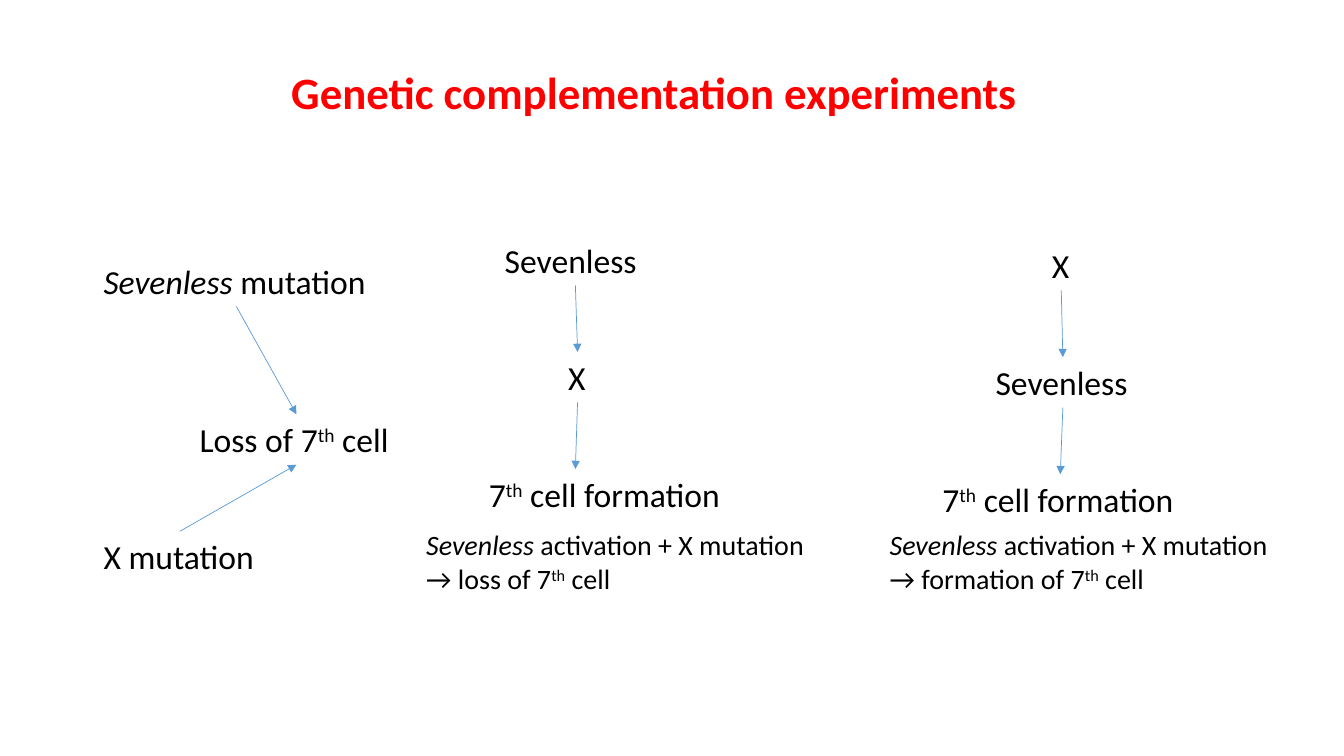
from dataclasses import dataclass
from typing import NamedTuple

from lxml.etree import SubElement
from pptx import Presentation
from pptx.dml.color import RGBColor as RGB
from pptx.enum.shapes import MSO_CONNECTOR as Connector
from pptx.enum.text import MSO_AUTO_SIZE as AutoSize
from pptx.oxml.ns import qn
from pptx.slide import Slide
from pptx.util import Cm, Pt


@dataclass(frozen=True)
class Theme:
    font: str = "Calibri"
    title_color: RGB = RGB(0xFF, 0x00, 0x00)
    text_color: RGB = RGB(0x00, 0x00, 0x00)
    arrow_color: RGB = RGB(0x5B, 0x9B, 0xD5)
    title_size: int = 32
    label_size: int = 24
    outcome_size: int = 20
    arrow_width: float = 0.5


class Span(NamedTuple):
    text: str
    italic: bool = False
    superscript: bool = False


class Point(NamedTuple):
    x: float
    y: float


@dataclass(frozen=True)
class Label:
    spans: tuple[Span, ...]
    left: float
    top: float
    width: float
    height: float = 1.27

    @property
    def top_center(self) -> Point:
        return Point(self.left + self.width / 2, self.top)

    @property
    def bottom_center(self) -> Point:
        return Point(self.left + self.width / 2, self.top + self.height)


class Step(NamedTuple):
    spans: tuple[Span, ...]
    left: float
    width: float


@dataclass(frozen=True)
class Pathway:
    top: float
    steps: tuple[Step, ...]
    end_x: float
    outcome: Label


THEME = Theme()
STEP_PITCH = 2.95
OUTCOME_TOP = 13.18
OUTCOME_HEIGHT = 1.96

SEVENLESS = (Span("Sevenless"),)
X = (Span("X"),)
TH = Span("th", superscript=True)
CELL = Span(" cell")
FORMATION = (Span("7"), TH, Span(" cell formation"))

TITLE = Label((Span("Genetic complementation experiments"),), 7.09, 1.5, 19.23, 1.63)
SEVENLESS_MUTATION = Label(
    (Span("Sevenless", italic=True), Span(" mutation")), 2.36, 6.45, 7.19
)
CELL_LOSS = Label((Span("Loss of 7"), TH, CELL), 4.78, 10.44, 5.38)
X_MUTATION = Label((Span("X mutation"),), 2.36, 13.39, 4.34)


def outcome(result: str, left: float, width: float) -> Label:
    spans = (
        Span("Sevenless", italic=True),
        Span(f" activation + X mutation → {result} of 7"),
        TH,
        CELL,
    )
    return Label(spans, left, OUTCOME_TOP, width, OUTCOME_HEIGHT)


PATHWAYS = (
    Pathway(
        5.92,
        (Step(SEVENLESS, 12.47, 4.06), Step(X, 14.07, 0.97), Step(FORMATION, 12.07, 6.45)),
        14.5,
        outcome("loss", 10.49, 10.54),
    ),
    Pathway(
        6.05,
        (Step(X, 26.26, 0.97), Step(SEVENLESS, 24.84, 3.89), Step(FORMATION, 23.5, 6.45)),
        26.72,
        outcome("formation", 22.17, 10.26),
    ),
)


def draw_label(
    slide: Slide,
    label: Label,
    size: int = THEME.label_size,
    color: RGB = THEME.text_color,
    bold: bool = False,
    wrap: bool = False,
) -> None:
    box = slide.shapes.add_textbox(
        Cm(label.left), Cm(label.top), Cm(label.width), Cm(label.height)
    )
    frame = box.text_frame
    frame.word_wrap = wrap
    frame.auto_size = AutoSize.SHAPE_TO_FIT_TEXT
    paragraph = frame.paragraphs[0]
    font = paragraph.font
    font.name = THEME.font
    font.size = Pt(size)
    font.bold = bold
    font.color.rgb = color
    for span in label.spans:
        run = paragraph.add_run()
        run.text = span.text
        if span.italic:
            run.font.italic = True
        if span.superscript:
            run._r.get_or_add_rPr().set("baseline", "30000")


def draw_arrow(slide: Slide, start: Point, end: Point) -> None:
    arrow = slide.shapes.add_connector(
        Connector.STRAIGHT, Cm(start.x), Cm(start.y), Cm(end.x), Cm(end.y)
    )
    arrow.line.color.rgb = THEME.arrow_color
    arrow.line.width = Pt(THEME.arrow_width)
    SubElement(arrow.line._get_or_add_ln(), qn("a:tailEnd"), type="triangle")
    SubElement(arrow._element.spPr, qn("a:effectLst"))


def draw_mutations(slide: Slide) -> None:
    for label in (SEVENLESS_MUTATION, CELL_LOSS, X_MUTATION):
        draw_label(slide, label)
    draw_arrow(slide, SEVENLESS_MUTATION.bottom_center, CELL_LOSS.top_center)
    draw_arrow(slide, X_MUTATION.top_center, CELL_LOSS.bottom_center)


def draw_pathway(slide: Slide, pathway: Pathway) -> None:
    labels = [
        Label(step.spans, step.left, pathway.top + index * STEP_PITCH, step.width)
        for index, step in enumerate(pathway.steps)
    ]
    for label in labels:
        draw_label(slide, label)
    first, second, last = labels
    draw_arrow(slide, first.bottom_center, second.top_center)
    draw_arrow(slide, second.bottom_center, Point(pathway.end_x, last.top))
    draw_label(slide, pathway.outcome, size=THEME.outcome_size, wrap=True)


def main() -> None:
    deck = Presentation()
    deck.slide_width = Cm(33.87)
    deck.slide_height = Cm(19.05)
    slide = deck.slides.add_slide(deck.slide_layouts[6])
    draw_label(slide, TITLE, THEME.title_size, THEME.title_color, bold=True)
    draw_mutations(slide)
    for pathway in PATHWAYS:
        draw_pathway(slide, pathway)
    deck.save("out.pptx")


if __name__ == "__main__":
    main()
